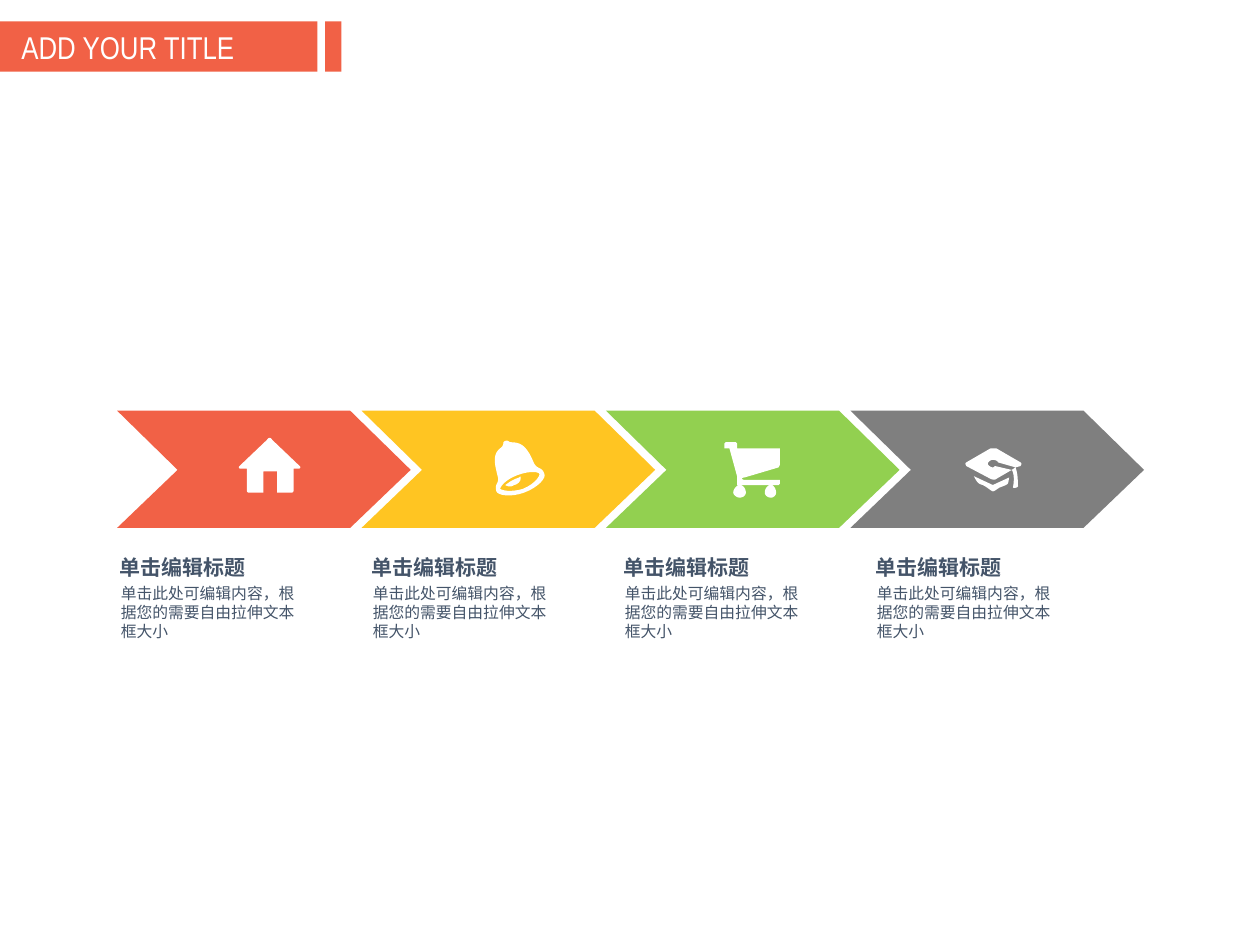
from pptx import Presentation
from pptx.dml.color import RGBColor
from pptx.enum.shapes import MSO_SHAPE
from pptx.enum.text import MSO_ANCHOR, MSO_AUTO_SIZE, PP_ALIGN
from pptx.util import Inches, Pt

COLORS = {
    "red": "F16146",
    "gold": "FFC522",
    "green": "92D050",
    "gray": "7F7F7F",
    "white": "FFFFFF",
    "slate": "445469",
}

HOUSE = [
    [(2.38, 3.7), (2.16, 3.49), (2.15, 3.47, 2.13, 3.47, 2.12, 3.49),
     (1.9, 3.7), (1.89, 3.71, 1.9, 3.72, 1.91, 3.72), (1.96, 3.72),
     (1.96, 3.89), (1.96, 3.9, 1.96, 3.91, 1.98, 3.91), (2.09, 3.91),
     (2.09, 3.74), (2.2, 3.74), (2.2, 3.91), (2.31, 3.91),
     (2.33, 3.91, 2.33, 3.9, 2.33, 3.89), (2.33, 3.72), (2.37, 3.72),
     (2.38, 3.72, 2.39, 3.71, 2.38, 3.7)],
]
BELL = [
    [(4.24, 3.68), (4.19, 3.56, 4.15, 3.51, 4.06, 3.51),
     (4.03, 3.51, 4.04, 3.49, 4.01, 3.5),
     (3.98, 3.51, 4.01, 3.52, 3.98, 3.55),
     (3.91, 3.6, 3.92, 3.66, 3.95, 3.78),
     (3.97, 3.83, 3.92, 3.84, 3.94, 3.9),
     (3.95, 3.93, 4.05, 3.95, 4.16, 3.91),
     (4.27, 3.87, 4.34, 3.79, 4.32, 3.76),
     (4.3, 3.7, 4.27, 3.73, 4.24, 3.68)],
    [(4.15, 3.88), (4.05, 3.91, 3.98, 3.89, 3.97, 3.88),
     (3.97, 3.87, 4, 3.81, 4.11, 3.77),
     (4.22, 3.73, 4.28, 3.75, 4.28, 3.76),
     (4.29, 3.77, 4.25, 3.84, 4.15, 3.88)],
    [(4.12, 3.79), (4.06, 3.81, 4.04, 3.83, 4.01, 3.85),
     (4.03, 3.86, 4.05, 3.87, 4.08, 3.85),
     (4.12, 3.84, 4.14, 3.81, 4.13, 3.78)],
]
CART = [
    [(5.82, 3.91), (5.82, 3.93, 5.85, 3.95, 5.87, 3.95),
     (5.9, 3.95, 5.92, 3.93, 5.92, 3.91),
     (5.92, 3.88, 5.9, 3.85, 5.87, 3.85),
     (5.85, 3.85, 5.82, 3.88, 5.82, 3.91)],
    [(6.07, 3.91), (6.07, 3.93, 6.09, 3.95, 6.12, 3.95),
     (6.14, 3.95, 6.16, 3.93, 6.16, 3.91),
     (6.16, 3.88, 6.14, 3.85, 6.12, 3.85),
     (6.09, 3.85, 6.07, 3.88, 6.07, 3.91)],
    [(5.91, 3.79), (6.18, 3.71), (6.19, 3.69), (6.19, 3.56),
     (5.85, 3.56), (5.85, 3.52), (5.84, 3.51), (5.76, 3.51),
     (5.75, 3.52), (5.75, 3.56), (5.79, 3.56), (5.85, 3.78),
     (5.85, 3.85), (6.18, 3.85), (6.19, 3.84), (6.19, 3.81),
     (5.92, 3.81), (5.88, 3.81, 5.88, 3.79, 5.91, 3.79)],
]
CAP = [
    [(7.73, 3.78), (7.75, 3.82, 7.76, 3.84, 7.8, 3.85),
     (7.84, 3.87, 7.87, 3.9, 7.88, 3.9),
     (7.9, 3.9, 7.92, 3.87, 7.96, 3.86),
     (8.01, 3.84, 8, 3.84, 8.01, 3.79), (7.88, 3.85)],
    [(8.1, 3.67), (7.91, 3.56), (7.9, 3.56, 7.88, 3.56, 7.86, 3.56),
     (7.67, 3.67), (7.66, 3.68, 7.66, 3.68, 7.67, 3.7), (7.86, 3.8),
     (7.88, 3.81, 7.9, 3.81, 7.91, 3.8), (8.03, 3.73), (7.9, 3.7),
     (7.89, 3.7, 7.89, 3.71, 7.88, 3.71),
     (7.86, 3.71, 7.84, 3.69, 7.84, 3.68),
     (7.84, 3.67, 7.86, 3.65, 7.88, 3.65),
     (7.9, 3.65, 7.92, 3.66, 7.92, 3.67), (8.06, 3.71), (8.1, 3.7),
     (8.11, 3.68, 8.11, 3.68, 8.1, 3.67)],
    [(8.04, 3.87), (8.03, 3.87, 8.07, 3.88, 8.08, 3.86),
     (8.08, 3.75, 8.06, 3.71, 8.06, 3.71), (8.03, 3.73),
     (8.03, 3.73, 8.06, 3.76, 8.04, 3.87)],
]

STEPS = [("red", HOUSE), ("gold", BELL), ("green", CART), ("gray", CAP)]
HEAD = "单击编辑标题"
BODY = "单击此处可编辑内容，根据您的需要自由拉伸文本框大小"


def paint(shape, color):
    shape.shadow.inherit = False
    shape.fill.solid()
    shape.fill.fore_color.rgb = RGBColor.from_string(COLORS[color])
    shape.line.fill.background()


def add_bar(slide, left, width):
    bar = slide.shapes.add_shape(
        MSO_SHAPE.RECTANGLE, Inches(left), Inches(0.17), Inches(width), Inches(0.4))
    paint(bar, "red")
    return bar


def trace(path, count=8):
    spots = [path[0]]
    for part in path[1:]:
        if len(part) == 2:
            spots.append(part)
            continue
        curve = [spots[-1], part[:2], part[2:4], part[4:]]
        for step in range(1, count + 1):
            t = step / count
            rates = ((1 - t) ** 3, 3 * t * (1 - t) ** 2, 3 * t * t * (1 - t), t ** 3)
            spots.append(tuple(
                sum(rate * spot[axis] for rate, spot in zip(rates, curve))
                for axis in (0, 1)))
    return [(Inches(x), Inches(y)) for x, y in spots]


def add_form(slide, paths, color):
    first, *rest = [trace(path) for path in paths]
    pen = slide.shapes.build_freeform(*first[0])
    pen.add_line_segments(first[1:], close=True)
    for spots in rest:
        pen.move_to(*spots[0])
        pen.add_line_segments(spots[1:], close=True)
    paint(pen.convert_to_shape(), color)


def add_arrow(slide, left, color):
    top, mid, base = 3.26, 3.73, 4.19
    add_form(slide, [[
        (left, top), (left + 1.85, top), (left + 2.33, mid),
        (left + 1.85, base), (left, base), (left + 0.48, mid)]], color)


def style(line, size, color, font="Arial", bold=False):
    line.font.size = Pt(size)
    line.font.name = font
    line.font.bold = bold
    line.font.color.rgb = RGBColor.from_string(COLORS[color])


def add_text(slide, text, box, size, space, bold=False):
    frame = slide.shapes.add_textbox(*map(Inches, box)).text_frame
    frame.word_wrap = True
    frame.auto_size = MSO_AUTO_SIZE.SHAPE_TO_FIT_TEXT
    frame.margin_left = frame.margin_right = 0
    frame.margin_top = frame.margin_bottom = 0
    line = frame.paragraphs[0]
    line.text = text
    line.space_before = Pt(space)
    style(line, size, "slate", bold=bold)


def set_title(slide, text, bar):
    title = slide.shapes.title
    title.left, title.top = Inches(0.07), Inches(0.17)
    title.width, title.height = Inches(2.38), Inches(0.4)
    frame = title.text_frame
    frame.text = text
    frame.word_wrap = True
    frame.auto_size = MSO_AUTO_SIZE.NONE
    frame.vertical_anchor = MSO_ANCHOR.TOP
    line = frame.paragraphs[0]
    line.alignment = PP_ALIGN.LEFT
    style(line, 18, "white", "Arial Narrow")
    bar.element.addnext(title.element)


def main():
    deck = Presentation()
    deck.slide_width, deck.slide_height = Inches(10), Inches(7.5)
    slide = deck.slides.add_slide(deck.slide_layouts[5])
    add_bar(slide, 0, 2.52)
    set_title(slide, "ADD YOUR TITLE", add_bar(slide, 2.58, 0.13))
    for place, (color, icon) in enumerate(STEPS):
        add_arrow(slide, 0.93 + 1.94 * place, color)
        add_form(slide, icon, "white")
        left = 0.95 + 2 * place
        add_text(slide, HEAD, (left, 4.4, 1.6, 0.2), 12, 3, bold=True)
        add_text(slide, BODY, (left + 0.01, 4.63, 1.44, 0.45), 9, 2.2)
    deck.save("out.pptx")


if __name__ == "__main__":
    main()
